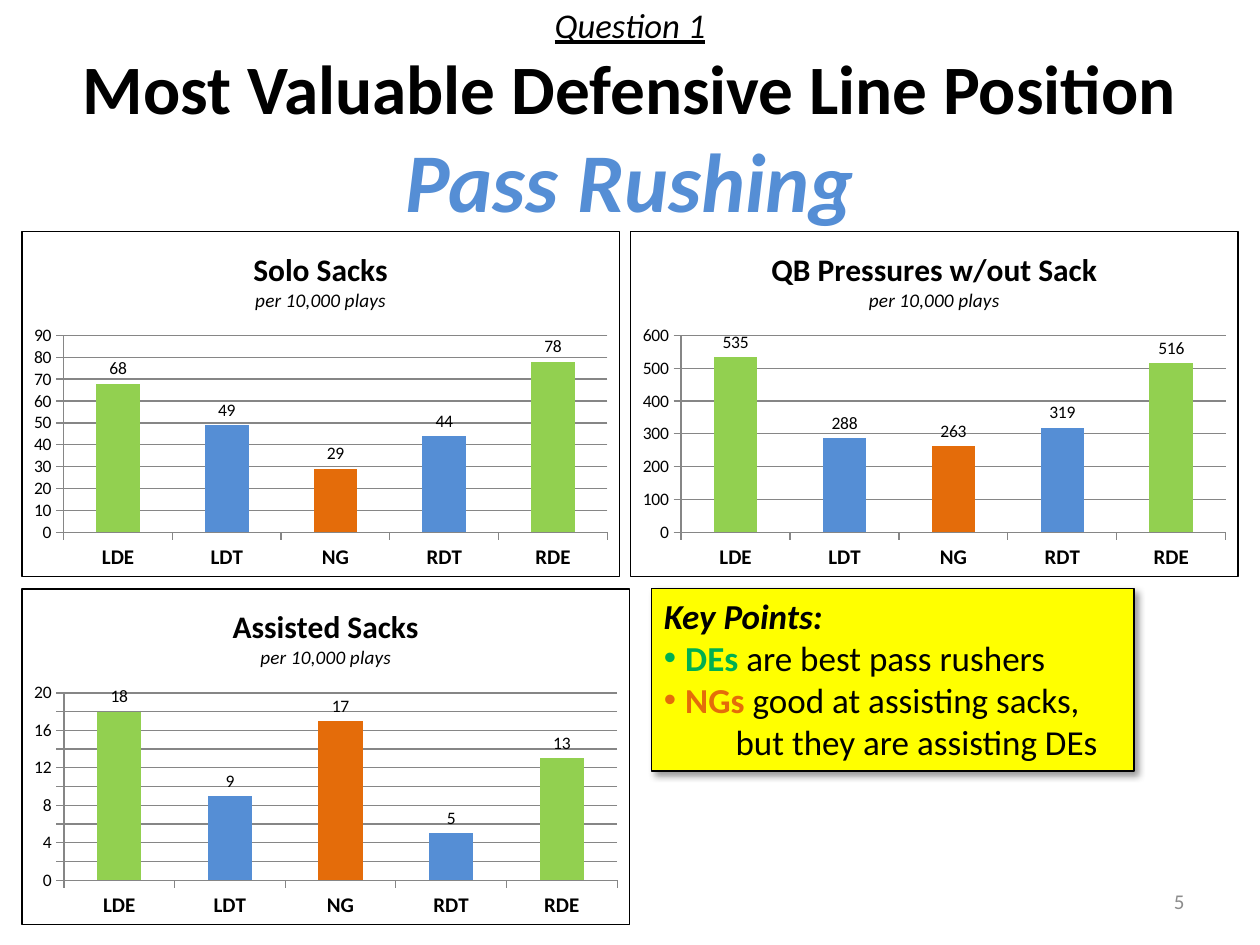
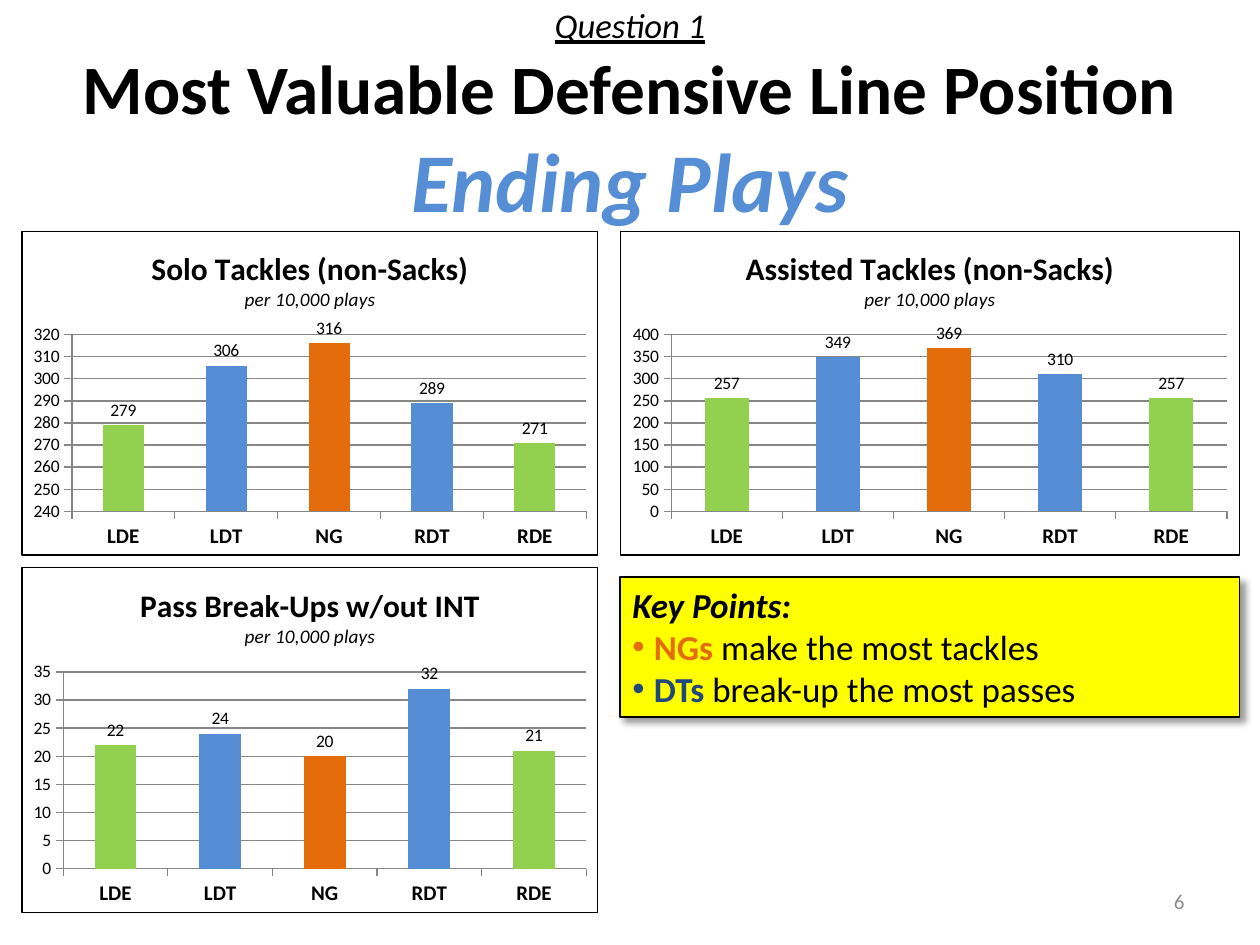
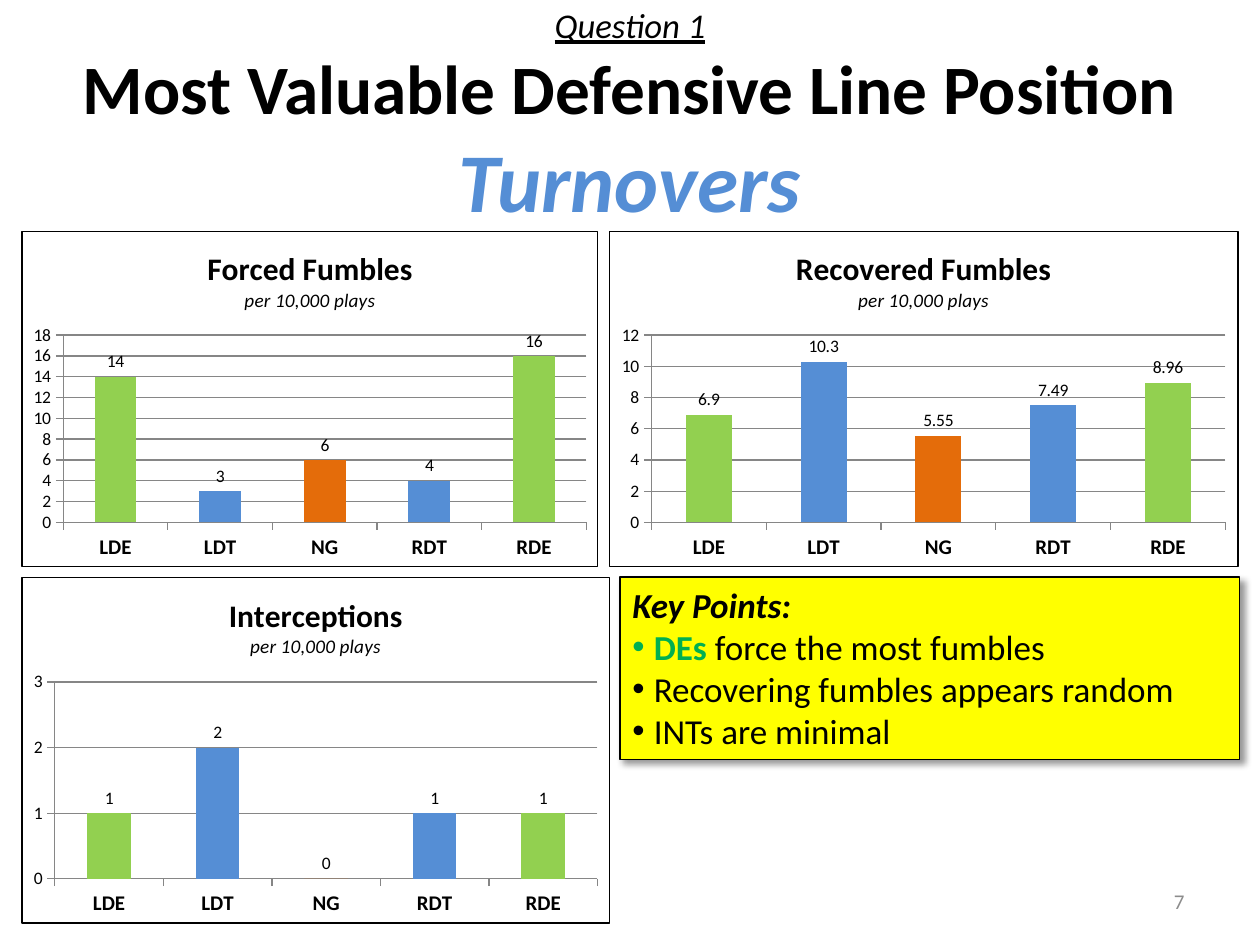
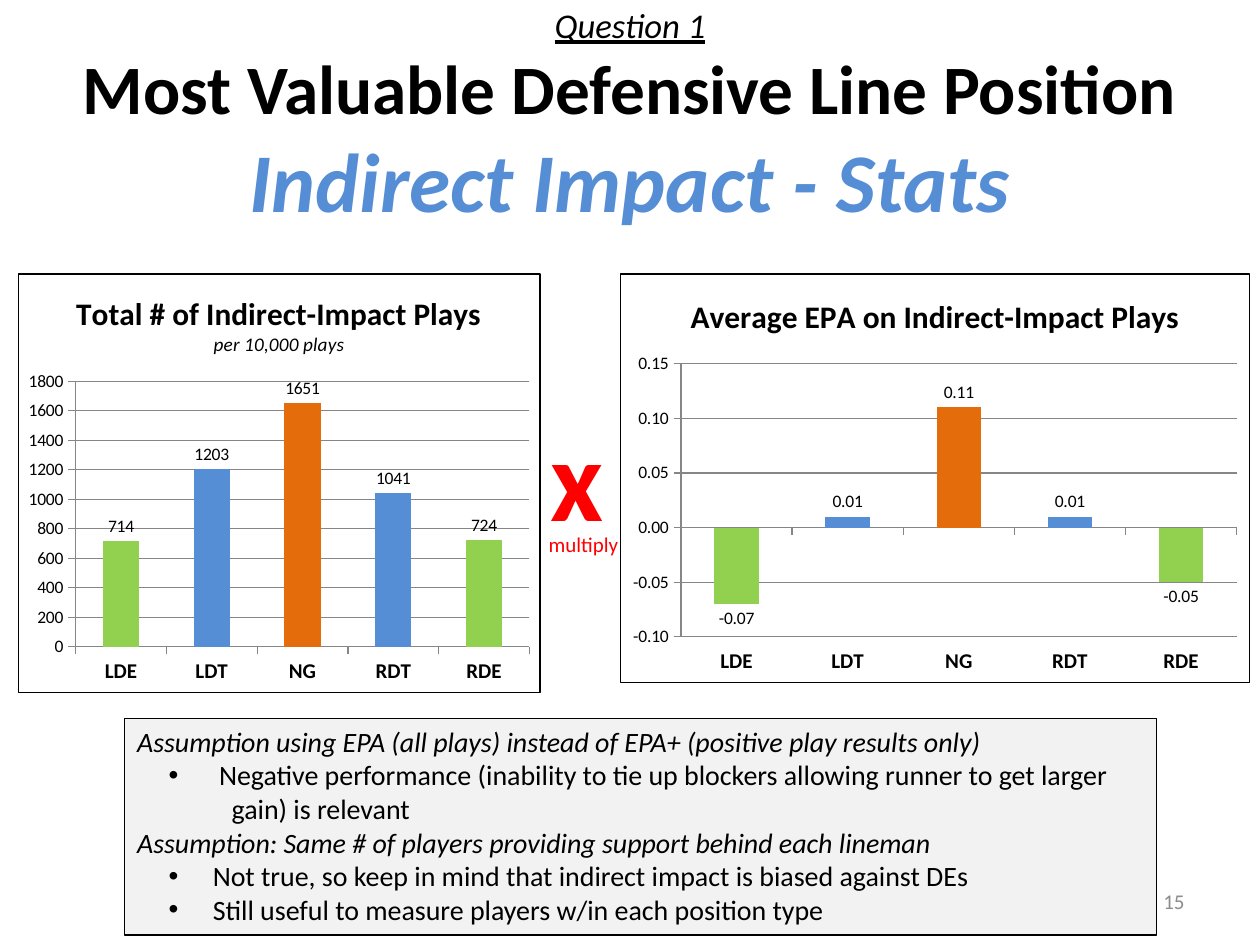
from lxml import etree
from pptx import Presentation
from pptx.chart.data import CategoryChartData
from pptx.dml.color import RGBColor
from pptx.enum.chart import XL_CHART_TYPE, XL_LABEL_POSITION, XL_TICK_LABEL_POSITION, XL_TICK_MARK
from pptx.enum.shapes import MSO_SHAPE
from pptx.enum.text import MSO_ANCHOR, MSO_AUTO_SIZE, PP_ALIGN
from pptx.oxml import parse_xml
from pptx.oxml.ns import nsdecls, qn
from pptx.util import Inches, Pt

COLUMNS = XL_CHART_TYPE.COLUMN_CLUSTERED
OUTSIDE_END = XL_LABEL_POSITION.OUTSIDE_END
TICK_OUT = XL_TICK_MARK.OUTSIDE
LABELS_LOW = XL_TICK_LABEL_POSITION.LOW
RECTANGLE = MSO_SHAPE.RECTANGLE
TOP, MIDDLE = MSO_ANCHOR.TOP, MSO_ANCHOR.MIDDLE
GROW = MSO_AUTO_SIZE.SHAPE_TO_FIT_TEXT
LEFT, CENTER, RIGHT = PP_ALIGN.LEFT, PP_ALIGN.CENTER, PP_ALIGN.RIGHT

FONT = "Calibri"
BLACK, RED, GREY, AXIS_GREY = "000000", "FF0000", "8C8C8C", "868686"
YELLOW, PALE_GREY = "FFFF00", "F2F2F2"
END_GREEN, TACKLE_BLUE, GUARD_ORANGE = "92D050", "558ED5", "E46C0A"
TEXT_GREEN, TEXT_NAVY = "00B050", "1F497D"
POSITIONS = ["LDE", "LDT", "NG", "RDT", "RDE"]
POINT_COLORS = {1: TACKLE_BLUE, 2: GUARD_ORANGE, 3: TACKLE_BLUE}
PER_PLAYS = "per 10,000 plays"
KEY_HANG = 0.17

OUTLINE = (f'<a:ln {nsdecls("a")} w="9525"><a:solidFill><a:srgbClr val="{BLACK}"/>'
           '</a:solidFill></a:ln>')
CHART_BORDER = f'<c:spPr {nsdecls("c")}>{OUTLINE}</c:spPr>'
SHADOW = (f'<a:outerShdw {nsdecls("a")} blurRad="50800" dist="38100" dir="2700000" '
          f'algn="tl" rotWithShape="0"><a:srgbClr val="{BLACK}"><a:alpha val="40000"/>'
          '</a:srgbClr></a:outerShdw>')


def rgb(color):
    return RGBColor.from_string(color)


def set_font(font, size=None, color=None, **flags):
    if size:
        font.size = Pt(size)
    if color:
        font.color.rgb = rgb(color)
    for name, value in flags.items():
        setattr(font, name, value)


class Deck:
    def __init__(self):
        self.deck = Presentation()
        self.deck.slide_width, self.deck.slide_height = Inches(10), Inches(7.5)
        self.page = None

    def add_page(self, topic, number):
        self.page = self.deck.slides.add_slide(self.deck.slide_layouts[6])
        self.label((7.17, 6.95, 2.33, 0.4), str(number), 12, GREY, RIGHT, MIDDLE)
        self.title(topic)

    def box(self, at):
        return self.page.shapes.add_textbox(*map(Inches, at))

    def title(self, topic):
        frame = self.box((0.5, 0.3, 9, 1.25)).text_frame
        frame.word_wrap = True
        frame.vertical_anchor = MIDDLE
        para = frame.paragraphs[0]
        para.alignment = CENTER
        para.space_after = Pt(12)
        set_font(para.font, name=FONT)
        lines = [("Question 1", 19.8, BLACK, {"italic": True, "underline": True}),
                 ("Most Valuable Defensive Line Position", 39.6, BLACK, {"bold": True}),
                 (topic, 47.7, TACKLE_BLUE, {"bold": True, "italic": True})]
        for index, (text, size, color, flags) in enumerate(lines):
            if index:
                para.add_line_break()
            span = para.add_run()
            span.text = text
            set_font(span.font, size, color, **flags)
        span.font._element.insert(0, parse_xml(OUTLINE))

    def label(self, at, text, size, color, align=CENTER, anchor=TOP, bold=False):
        frame = self.box(at).text_frame
        frame.word_wrap = True
        frame.vertical_anchor = anchor
        para = frame.paragraphs[0]
        para.text = text
        para.alignment = align
        set_font(para.font, size, color, name=FONT, bold=bold)

    def note(self, at, fill, size, lines, shadow=False):
        """Draw a framed box; each line is (spans, left margin, hanging bullet width or 0)."""
        shape = self.page.shapes.add_shape(RECTANGLE, *map(Inches, at))
        shape.fill.solid()
        shape.fill.fore_color.rgb = rgb(fill)
        shape.line.color.rgb = rgb(BLACK)
        shape.line.width = Pt(0.75)
        shape.shadow.inherit = False
        if shadow:
            shape._element.spPr.find(qn("a:effectLst")).append(parse_xml(SHADOW))
        frame = shape.text_frame
        frame.word_wrap = True
        frame.auto_size = GROW
        frame.vertical_anchor = TOP
        for index, (spans, margin, hang) in enumerate(lines):
            para = frame.add_paragraph() if index else frame.paragraphs[0]
            para.alignment = LEFT
            props = para._p.get_or_add_pPr()
            props.set("marL", str(Inches(margin)))
            props.set("indent", str(-Inches(hang)))
            if hang:
                etree.SubElement(props, qn("a:buFont")).set("typeface", "Arial")
                etree.SubElement(props, qn("a:buChar")).set("char", "•")
            set_font(para.font, size, BLACK, name=FONT)
            for text, style in spans:
                span = para.add_run()
                span.text = text
                set_font(span.font, **style)

    def key_points(self, at, points):
        """Each point is (coloured lead word, its colour, rest); no lead means plain text."""
        lines = [([("Key Points:", {"bold": True, "italic": True})], 0, 0)]
        for lead, color, rest in points:
            spans = [(lead, {"color": color, "bold": True})] if lead else []
            lines.append((spans + [(rest, {})], KEY_HANG, KEY_HANG))
        return lines, at

    def key_note(self, at, points, continuation=None):
        lines, at = self.key_points(at, points)
        if continuation:
            lines.append(([(continuation, {})], 0.57, 0))
        self.note(at, YELLOW, 20, lines, shadow=True)

    def chart(self, at, title, values, scale, subtitle=PER_PLAYS, fmt=None, low_labels=False):
        """Draw a column chart; scale is (minimum, maximum, step) of the value axis."""
        data = CategoryChartData()
        data.categories = POSITIONS
        data.add_series("Series 1", values)
        chart = self.page.shapes.add_chart(COLUMNS, *map(Inches, at), data).chart
        set_font(chart.font, 10, BLACK, name=FONT)
        chart._chartSpace.find(qn("c:txPr")).addprevious(parse_xml(CHART_BORDER))
        chart.has_legend = False
        self.chart_title(chart, title, subtitle)
        self.chart_axes(chart, scale, fmt, low_labels)

        plot = chart.plots[0]
        plot.vary_by_categories = False
        plot.gap_width = 150
        series = plot.series[0]
        series.invert_if_negative = False
        series.format.fill.solid()
        series.format.fill.fore_color.rgb = rgb(END_GREEN)
        for index, color in POINT_COLORS.items():
            fill = series.points[index].format.fill
            fill.solid()
            fill.fore_color.rgb = rgb(color)
        labels = series.data_labels
        labels.show_value = True
        labels.position = OUTSIDE_END
        if fmt:
            labels.number_format = fmt
            labels.number_format_is_linked = False

    def chart_title(self, chart, title, subtitle):
        frame = chart.chart_title.text_frame
        frame.text = title
        set_font(frame.paragraphs[0].font, 18, BLACK, name=FONT, bold=True)
        if subtitle:
            para = frame.add_paragraph()
            para.text = subtitle
            set_font(para.font, 11, BLACK, name=FONT, bold=False, italic=True)

    def chart_axes(self, chart, scale, fmt, low_labels):
        names, amounts = chart.category_axis, chart.value_axis
        set_font(names.tick_labels.font, 12, bold=True)
        if low_labels:
            names.tick_label_position = LABELS_LOW
        amounts.minimum_scale, amounts.maximum_scale, amounts.major_unit = scale
        amounts.has_major_gridlines = True
        if fmt:
            amounts.tick_labels.number_format = fmt
            amounts.tick_labels.number_format_is_linked = False
        for axis in (names, amounts):
            axis.major_tick_mark = TICK_OUT
        for part in (names, amounts, amounts.major_gridlines):
            part.format.line.color.rgb = rgb(AXIS_GREY)
            part.format.line.width = Pt(0.75)


def pass_rushing(deck):
    deck.add_page("Pass Rushing", 5)
    deck.chart((0.17, 1.83, 4.75, 2.75), "Solo Sacks", [68, 49, 29, 44, 78], (0, 90, 10), fmt="0")
    deck.chart((0.17, 4.67, 4.83, 2.67), "Assisted Sacks", [18, 9, 17, 5, 13], (0, 20, 2), fmt="0")
    deck.chart((5, 1.83, 4.83, 2.75), "QB Pressures w/out Sack",
               [535, 288, 263, 319, 516], (0, 600, 100))
    deck.key_note((5.17, 4.67, 3.83, 1.45),
                  [("DEs", TEXT_GREEN, " are best pass rushers"),
                   ("NGs", GUARD_ORANGE, " good at assisting sacks,")],
                  "but they are assisting DEs")


def ending_plays(deck):
    deck.add_page("Ending Plays", 6)
    deck.key_note((4.92, 4.58, 4.92, 1.11),
                  [("NGs", GUARD_ORANGE, " make the most tackles"),
                   ("DTs", TEXT_NAVY, " break-up the most passes")])
    deck.chart((0.17, 4.5, 4.58, 2.75), "Pass Break-Ups w/out INT",
               [22, 24, 20, 32, 21], (0, 35, 5), fmt="0")
    deck.chart((0.17, 1.83, 4.58, 2.58), "Solo Tackles (non-Sacks)",
               [279, 306, 316, 289, 271], (240, 320, 10))
    deck.chart((4.92, 1.83, 4.92, 2.58), "Assisted Tackles (non-Sacks)",
               [257, 349, 369, 310, 257], (0, 400, 50))


def turnovers(deck):
    deck.add_page("Turnovers", 7)
    deck.key_note((4.92, 4.58, 4.92, 1.45),
                  [("DEs", TEXT_GREEN, " force the most fumbles"),
                   ("", BLACK, "Recovering fumbles appears random"),
                   ("", BLACK, "INTs are minimal")])
    deck.chart((0.17, 1.83, 4.58, 2.67), "Forced Fumbles", [14, 3, 6, 4, 16], (0, 18, 2), fmt="0")
    deck.chart((4.83, 1.83, 5, 2.67), "Recovered Fumbles",
               [6.9, 10.3, 5.55, 7.49, 8.96], (0, 12, 2))
    deck.chart((0.17, 4.58, 4.67, 2.75), "Interceptions", [1, 2, 0, 1, 1], (0, 3, 1), fmt="0")


def indirect_impact(deck):
    deck.add_page("Indirect Impact - Stats", 15)
    deck.label((4.08, 3.17, 1, 1.21), "x", 66, RED, bold=True)
    italic = {"italic": True}
    deck.note((0.99, 5.7, 8.19, 1.72), PALE_GREY, 16, [
        ([("Assumption using EPA (all plays) instead of EPA+ (positive play results only)",
           italic)], 0, 0),
        ([("Negative performance (inability to tie up blockers allowing runner to get larger",
           {})], 0.65, 0.4),
        ([("gain) is relevant", {})], 0.75, 0),
        ([("Assumption: Same # of players providing support behind each lineman", italic)], 0, 0),
        ([("Not true, so keep in mind that indirect impact is biased against DEs", {})], 0.6, 0.35),
        ([("Still useful to measure players w/in each position type", {})], 0.6, 0.35),
    ])
    deck.chart((0.14, 2.17, 4.15, 3.33), "Total # of Indirect-Impact Plays",
               [714, 1203, 1651, 1041, 724], (0, 1800, 200))
    deck.chart((4.92, 2.17, 5, 3.25), "Average EPA on Indirect-Impact Plays",
               [-0.07, 0.01, 0.11, 0.01, -0.05], (-0.1, 0.15, 0.05),
               subtitle=None, fmt="0.00", low_labels=True)
    deck.label((4.17, 4.17, 0.92, 0.3), "multiply", 12, RED)


def main():
    deck = Deck()
    for build in (pass_rushing, ending_plays, turnovers, indirect_impact):
        build(deck)
    deck.deck.save("out.pptx")


if __name__ == "__main__":
    main()
